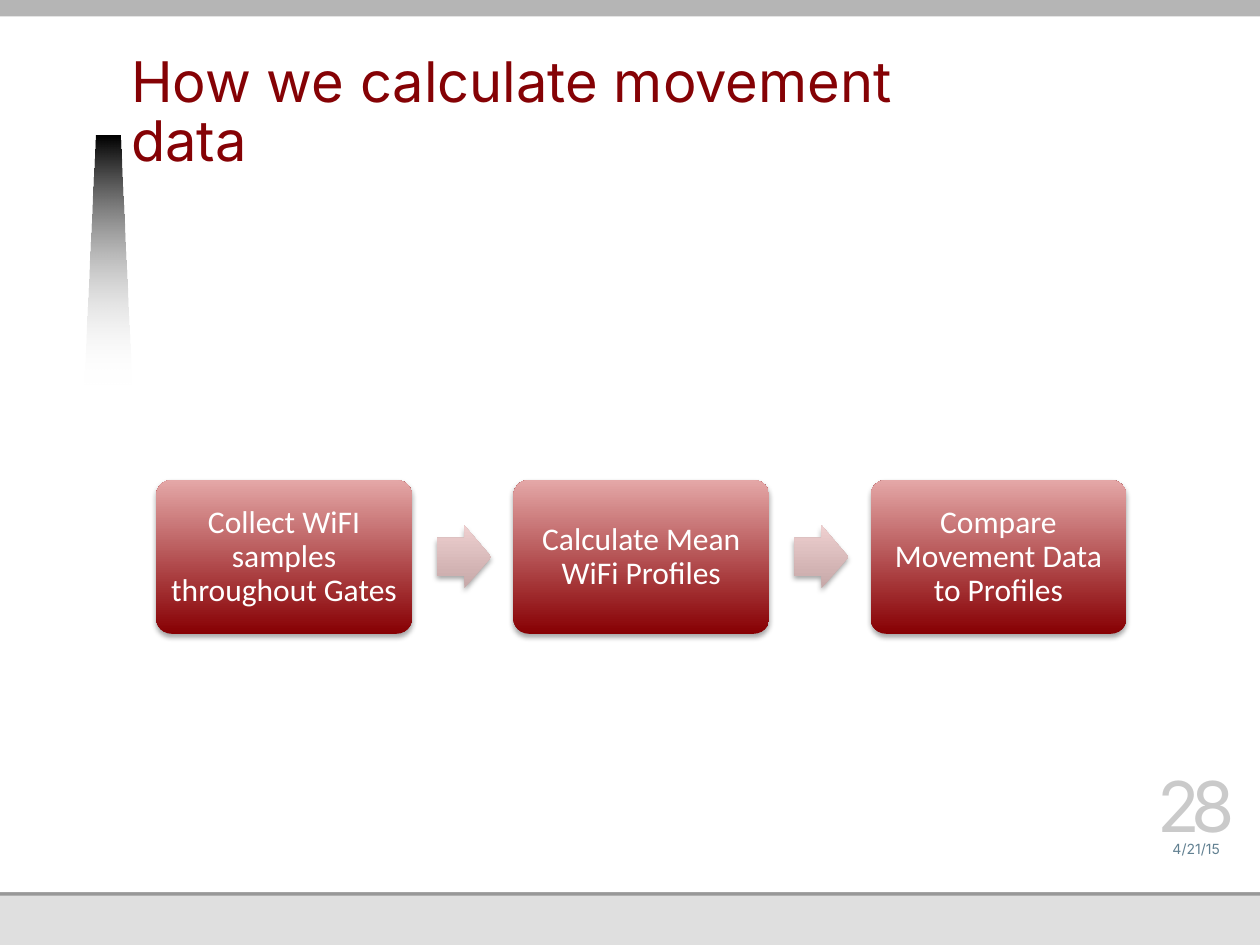
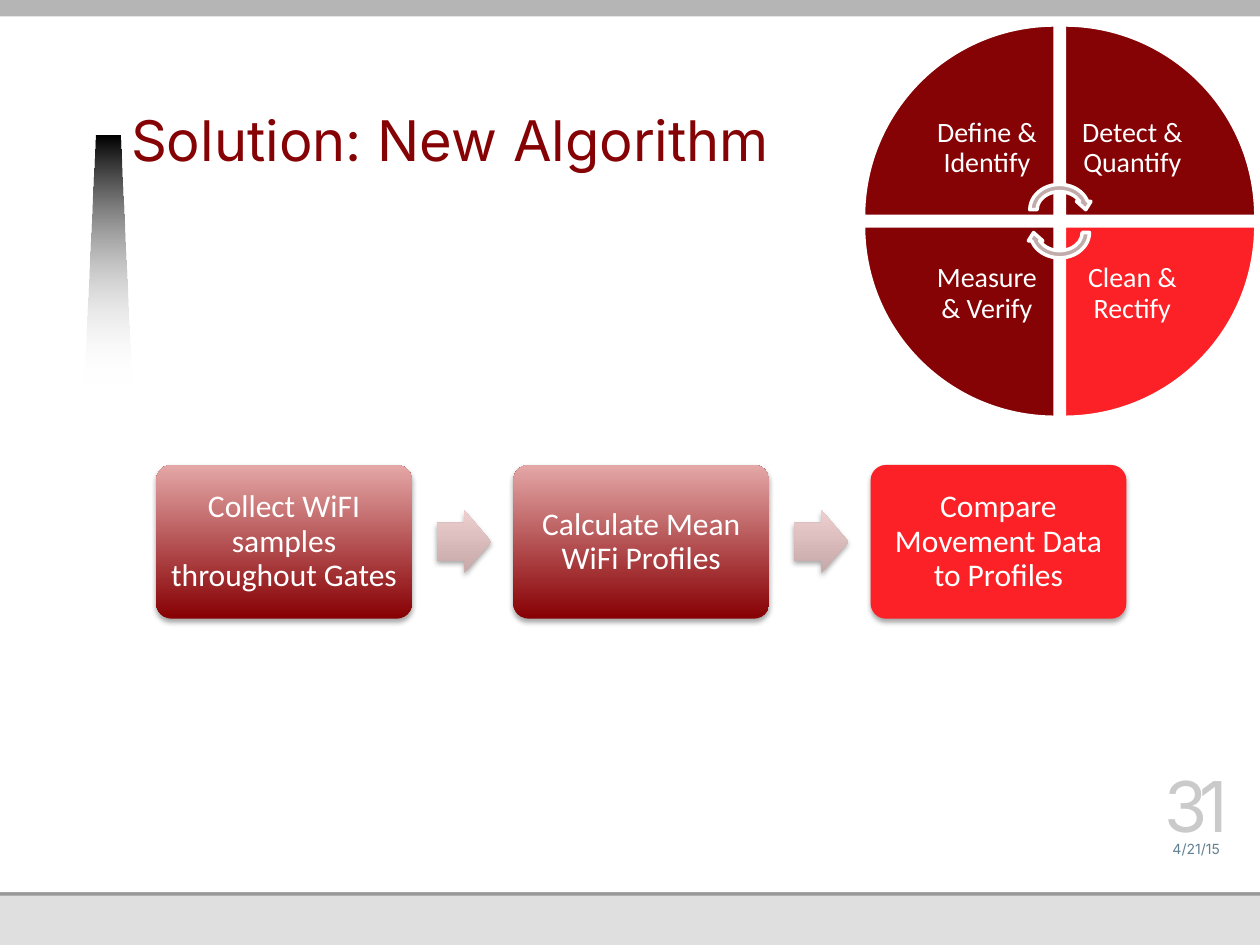
from lxml.etree import SubElement
from pptx import Presentation
from pptx.dml.color import RGBColor
from pptx.enum.shapes import MSO_SHAPE
from pptx.enum.text import MSO_ANCHOR, PP_ALIGN
from pptx.oxml.ns import qn
from pptx.util import Inches, Pt

COLORS = {
    "white": "FFFFFF", "black": "000000", "footer": "DFDFDF", "rule": "989898",
    "top_band": "B5B5B5", "maroon": "850205", "highlight": "FC2126",
    "box_dark": "870003", "box_light": "E4A7A7",
    "arrow_dark": "C6A8A8", "arrow_light": "EECFCF", "cycle_arrow": "C2ABAB",
    "date": "618091", "number": "CACACA",
}
COLUMNS, ROWS = 100, 75
UNIT = Inches(10) // COLUMNS

STEPS = ["Collect WiFI samples throughout Gates", "Calculate Mean WiFi Profiles",
         "Compare Movement Data to Profiles"]
STEP_LEFT, STEP_PITCH, STEP_WIDTH, STEP_HEIGHT = 12.4, 28.35, 20.3, 12.2
ARROW_WIDTH, ARROW_HEIGHT, ARROW_GAP = 4.3, 5, 2

QUARTERS = [
    ("Define & Identify", 0, 0, 0),
    ("Detect & Quantify", 1, 0, 90),
    ("Clean & Rectify", 1, 1, 180),
    ("Measure & Verify", 0, 1, 270),
]
HUB_X, HUB_Y, HUB_GAP = 84.1, 17.55, 0.37
WEDGE_SIZE, LABEL_SIZE = 15.2, 10.8


def color(name):
    return RGBColor.from_string(COLORS[name])


def grid(*cells):
    return [round(cell * UNIT) for cell in cells]


def paint_gradient(shape, start, end, angle):
    shape.fill.gradient()
    shape.fill.gradient_angle = angle
    for stop, name, position in zip(shape.fill.gradient_stops, (start, end), (0, 1)):
        stop.color.rgb = color(name)
        stop.position = position


def add_block(slide, preset, cells, fill=None, outline=None):
    block = slide.shapes.add_shape(preset, *grid(*cells))
    block.shadow.inherit = False
    if fill:
        block.fill.solid()
        block.fill.fore_color.rgb = color(fill)
    if outline:
        block.line.color.rgb = color(outline)
        block.line.width = Pt(2)
    else:
        block.line.fill.background()
    return block


def add_shadow(shape):
    effects = shape._element.spPr.find(qn("a:effectLst"))
    shadow = SubElement(effects, qn("a:outerShdw"), blurRad=str(Pt(3.1)),
                        dist=str(Pt(1.8)), dir="5400000", rotWithShape="0")
    tint = SubElement(shadow, qn("a:srgbClr"), val=COLORS["black"])
    SubElement(tint, qn("a:alpha"), val="35000")


def write(shape, text, font, size, ink, inset=0, anchor=MSO_ANCHOR.MIDDLE,
          align=PP_ALIGN.CENTER, spacing=None):
    frame = shape.text_frame
    frame.word_wrap = True
    frame.vertical_anchor = anchor
    frame.margin_left = frame.margin_right = Inches(inset)
    frame.margin_top = frame.margin_bottom = Inches(inset)
    paragraph = frame.paragraphs[0]
    paragraph.text = text
    paragraph.alignment = align
    paragraph.line_spacing = spacing
    paragraph.font.name = font
    paragraph.font.size = Pt(size)
    paragraph.font.color.rgb = color(ink)
    return paragraph


def add_label(slide, cells, *args, **options):
    return write(slide.shapes.add_textbox(*grid(*cells)), *args, **options)


def add_beam(slide):
    outline = [grid(*point) for point in
               [(6.7, 30.5), (7.6, 10.8), (9.5, 10.8), (10.4, 30.5)]]
    builder = slide.shapes.build_freeform(*outline[0])
    builder.add_line_segments(outline[1:], close=True)
    beam = builder.convert_to_shape()
    beam.shadow.inherit = False
    beam.line.fill.background()
    paint_gradient(beam, "black", "white", 270)
    faded = beam._element.spPr.findall(".//" + qn("a:srgbClr"))[-1]
    SubElement(faded, qn("a:alpha"), val="0")


def add_frame(slide, title, number):
    for top, height, fill in [(0, ROWS, "footer"), (17.8, 53.3, "rule"),
                              (0, 70.8, "white"), (0, 1.3, "top_band")]:
        add_block(slide, MSO_SHAPE.RECTANGLE, (0, top, COLUMNS, height), fill)
    add_beam(slide)
    heading = slide.shapes.add_textbox(*grid(10.4, 3.4, 68.7, 10.8))
    write(heading, title, "Inter", 32, "maroon", anchor=MSO_ANCHOR.BOTTOM,
          align=PP_ALIGN.LEFT, spacing=Pt(34))
    heading.text_frame.margin_bottom = Inches(0.05)
    add_label(slide, (91.3, 65.8, 7.3, 2.2), "4/21/15", "Inter", 8, "date",
              anchor=MSO_ANCHOR.BOTTOM)
    page = add_label(slide, (91.3, 61.6, 7.3, 5.6), number, "Inter", 40, "number",
                     anchor=MSO_ANCHOR.BOTTOM)
    page.runs[0]._r.get_or_add_rPr().set("spc", "-500")


def add_process(slide, top, highlighted=None):
    for index, step in enumerate(STEPS):
        left = STEP_LEFT + index * STEP_PITCH
        box = add_block(slide, MSO_SHAPE.ROUNDED_RECTANGLE,
                        (left, top, STEP_WIDTH, STEP_HEIGHT), "highlight")
        box.adjustments[0] = 0.1
        if index != highlighted:
            paint_gradient(box, "box_dark", "box_light", 90)
        add_shadow(box)
        write(box, step, "Calibri", 18, "white", inset=0.07, spacing=0.9)
        if index < len(STEPS) - 1:
            arrow = add_block(slide, MSO_SHAPE.RIGHT_ARROW,
                              (left + STEP_WIDTH + ARROW_GAP,
                               top + (STEP_HEIGHT - ARROW_HEIGHT) / 2,
                               ARROW_WIDTH, ARROW_HEIGHT))
            arrow.adjustments[0] = 0.6
            paint_gradient(arrow, "arrow_dark", "arrow_light", 90)
            add_shadow(arrow)


def quarter_cells(column, row, size):
    left = HUB_X + (HUB_GAP if column else -HUB_GAP - size)
    top = HUB_Y + (HUB_GAP if row else -HUB_GAP - size)
    return left, top, size, size


def add_cycle(slide, highlighted):
    for text, column, row, turn in QUARTERS:
        fill = "highlight" if text == highlighted else "maroon"
        wedge = add_block(slide, MSO_SHAPE.PIE_WEDGE,
                          quarter_cells(column, row, WEDGE_SIZE), fill, "white")
        wedge.rotation = turn
        add_label(slide, quarter_cells(column, row, LABEL_SIZE), text, "Calibri", 16,
                  "white", inset=0.12, spacing=0.9)
    width, height = 5.3, 4.6
    for offset, turn in [(-0.9, 0), (0.9, 180)]:
        arrow = add_block(slide, MSO_SHAPE.CIRCULAR_ARROW,
                          (HUB_X - width / 2, HUB_Y + offset - height / 2, width, height),
                          "cycle_arrow", "white")
        arrow.rotation = turn


def main():
    deck = Presentation()
    deck.slide_width, deck.slide_height = grid(COLUMNS, ROWS)
    blank = deck.slide_layouts[6]

    movement = deck.slides.add_slide(blank)
    add_frame(movement, "How we calculate movement data", "28")
    add_process(movement, 38.1)

    solution = deck.slides.add_slide(blank)
    add_frame(solution, "Solution: New Algorithm", "31")
    add_cycle(solution, "Clean & Rectify")
    add_process(solution, 36.9, highlighted=2)

    deck.save("out.pptx")


main()
